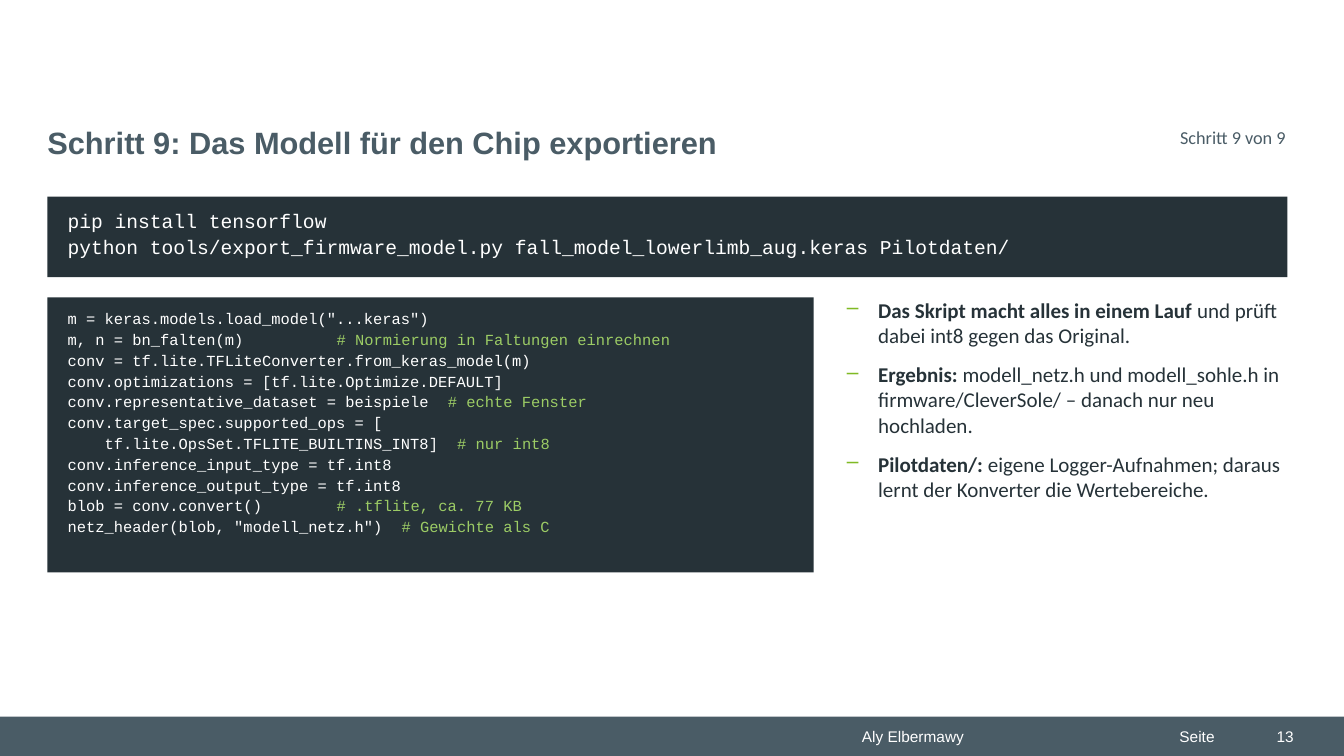
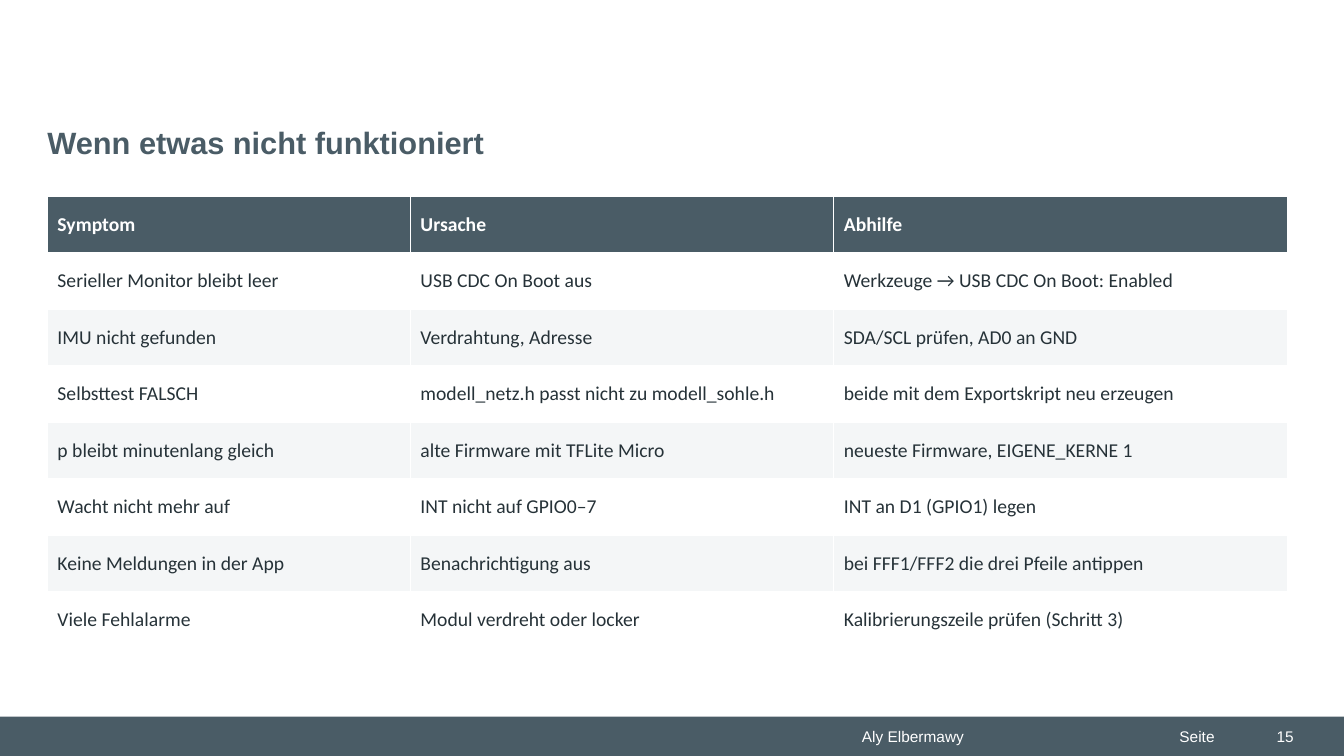
from pptx import Presentation, util as u
from pptx.dml.color import RGBColor
from pptx.enum import shapes, text
from pptx.oxml import parse_xml
from pptx.oxml.ns import nsdecls

COL = {"slate": "4A5C66", "dark": "263238", "white": "FFFFFF",
       "pale": "F4F6F7", "note": "9CCC65", "dash": "80BA24"}
LEFT, WIDE = 0.47, 12.3
RIGHT = text.PP_ALIGN.RIGHT


def add_rect(slide, x, y, w, h, col):
    box = slide.shapes.add_shape(shapes.MSO_SHAPE.RECTANGLE, *map(u.Inches, (x, y, w, h)))
    box.shadow.inherit = False
    box.fill.solid()
    box.fill.fore_color.rgb = RGBColor.from_string(COL[col])
    box.line.fill.background()


def add_text(slide, at, lines, face, size, col, bold=False, pad=(0, 0), after=0, gap=None):
    """Each line is a list of (text, colour, bold) runs or a plain string."""
    frame = slide.shapes.add_textbox(*map(u.Inches, at)).text_frame
    frame.word_wrap = True
    frame.margin_left = frame.margin_right = u.Inches(pad[0])
    frame.margin_top = frame.margin_bottom = u.Inches(pad[1])
    for i, line in enumerate(lines):
        par = frame.paragraphs[0] if i == 0 else frame.add_paragraph()
        par.space_after = u.Pt(after)
        if gap:
            par.line_spacing = gap
        par.font.name, par.font.size = face, u.Pt(size)
        runs = [(line, col, bold)] if isinstance(line, str) else line
        if len(runs) == 1:
            par.font.bold = runs[0][2]
            par.font.color.rgb = RGBColor.from_string(COL[runs[0][1]])
        for words, tint, heavy in runs:
            run = par.add_run()
            run.text = words
            if len(runs) > 1:
                run.font.bold = heavy
                run.font.color.rgb = RGBColor.from_string(COL[tint])
    return frame


deck = Presentation()
deck.slide_width, deck.slide_height = u.Inches(13.33), u.Inches(7.5)

# Title and footer on every slide
pages = []
for title, num in (("Schritt 9: Das Modell für den Chip exportieren", "13"),
                   ("Wenn etwas nicht funktioniert", "15")):
    page = deck.slides.add_slide(deck.slide_layouts[6])
    add_rect(page, 0, 7.11, 13.33, 0.39, "slate")
    for words, x, w in (("Aly Elbermawy", 8.45, 3.15), ("Seite", 11.6, 0.84), (num, 12.23, 0.7)):
        foot = add_text(page, (x, 7.16, w, 0.29), [words], "Arial", 11, "white", pad=(0.1, 0.05))
        foot.vertical_anchor = text.MSO_ANCHOR.MIDDLE
    foot.paragraphs[0].alignment = RIGHT
    add_text(page, (LEFT, 1.18, 12.28, 0.63), [title], "Arial", 22, "slate", True, (0, 0.05))
    pages.append(page)
export, faults = pages

# Step counter
step = add_text(export, (10.75, 1.25, 2, 0.4), ["Schritt 9 von 9"], "Calibri", 13, "slate")
step.paragraphs[0].alignment = RIGHT

# Code panels
SHELL = """pip install tensorflow
python tools/export_firmware_model.py fall_model_lowerlimb_aug.keras Pilotdaten/"""
CODE = """m = keras.models.load_model("...keras")
m, n = bn_falten(m)          # Normierung in Faltungen einrechnen
conv = tf.lite.TFLiteConverter.from_keras_model(m)
conv.optimizations = [tf.lite.Optimize.DEFAULT]
conv.representative_dataset = beispiele  # echte Fenster
conv.target_spec.supported_ops = [
    tf.lite.OpsSet.TFLITE_BUILTINS_INT8]  # nur int8
conv.inference_input_type = tf.int8
conv.inference_output_type = tf.int8
blob = conv.convert()        # .tflite, ca. 77 KB
netz_header(blob, "modell_netz.h")  # Gewichte als C"""
for code, y, w, h, size in ((SHELL, 1.95, WIDE, 0.8, 14), (CODE, 2.95, 7.6, 2.73, 11)):
    add_rect(export, LEFT, y, w, h, "dark")
    lines = []
    for row in code.split("\n"):
        main, mark, note = row.partition("#")
        runs = [(main, "white", False)]
        if mark:
            runs.append((mark + note, "note", False))
        lines.append(runs)
    add_text(export, (LEFT + 0.2, y + 0.11, w - 0.4, h - 0.15), lines,
             "Courier New", size, "white", after=1, gap=1.05)

# Bullet notes
NOTES = [
    ("Das Skript macht alles in einem Lauf ", "und prüft dabei int8 gegen das Original."),
    ("Ergebnis: ", "modell_netz.h und modell_sohle.h in firmware/CleverSole/ – danach nur neu hochladen."),
    ("Pilotdaten/: ", "eigene Logger-Aufnahmen; daraus lernt der Konverter die Wertebereiche."),
]
notes = add_text(export, (8.4, 2.95, 4.35, 3.9),
                 [[(head, "dark", True), (body, "dark", False)] for head, body in NOTES],
                 "Calibri", 15, "dark", after=10)
for par in notes.paragraphs:
    props = par._p.get_or_add_pPr()
    props.set("marL", str(u.Inches(0.31)))
    props.set("indent", str(-u.Inches(0.31)))
    font = props.find("{*}defRPr")
    for xml in (f'<a:buClr {nsdecls("a")}><a:srgbClr val="{COL["dash"]}"/></a:buClr>',
                f'<a:buChar {nsdecls("a")} char="–"/>'):
        font.addprevious(parse_xml(xml))

# Fault table
ROWS = [
    ("Symptom", "Ursache", "Abhilfe"),
    ("Serieller Monitor bleibt leer", "USB CDC On Boot aus", "Werkzeuge → USB CDC On Boot: Enabled"),
    ("IMU nicht gefunden", "Verdrahtung, Adresse", "SDA/SCL prüfen, AD0 an GND"),
    ("Selbsttest FALSCH", "modell_netz.h passt nicht zu modell_sohle.h",
     "beide mit dem Exportskript neu erzeugen"),
    ("p bleibt minutenlang gleich", "alte Firmware mit TFLite Micro", "neueste Firmware, EIGENE_KERNE 1"),
    ("Wacht nicht mehr auf", "INT nicht auf GPIO0–7", "INT an D1 (GPIO1) legen"),
    ("Keine Meldungen in der App", "Benachrichtigung aus", "bei FFF1/FFF2 die drei Pfeile antippen"),
    ("Viele Fehlalarme", "Modul verdreht oder locker", "Kalibrierungszeile prüfen (Schritt 3)"),
]
high = 0.56
grid = faults.shapes.add_table(len(ROWS), 3, *map(u.Inches, (LEFT, 1.95, WIDE, high * len(ROWS)))).table
for col, w in zip(grid.columns, (3.6, 4.2, 4.5)):
    col.width = u.Inches(w)
for r, row in enumerate(ROWS):
    grid.rows[r].height = u.Inches(high)
    for c, words in enumerate(row):
        cell = grid.cell(r, c)
        cell.text = words
        cell.vertical_anchor = text.MSO_ANCHOR.MIDDLE
        cell.margin_left = cell.margin_right = u.Inches(0.1)
        cell.margin_top = cell.margin_bottom = u.Inches(0.03)
        font = cell.text_frame.paragraphs[0].font
        font.name, font.size, font.bold = "Calibri", u.Pt(14), r == 0
        font.color.rgb = RGBColor.from_string(COL["dark" if r else "white"])
        # Borders come before the fill in the cell properties
        props = cell._tc.get_or_add_tcPr()
        for side in ("lnL", "lnR", "lnT", "lnB"):
            props.append(parse_xml(
                f'<a:{side} {nsdecls("a")} w="{u.Pt(1)}"><a:solidFill>'
                f'<a:srgbClr val="{COL["white"]}"/></a:solidFill></a:{side}>'))
        cell.fill.solid()
        shade = "slate" if r == 0 else "white" if r % 2 else "pale"
        cell.fill.fore_color.rgb = RGBColor.from_string(COL[shade])

deck.save("out.pptx")
